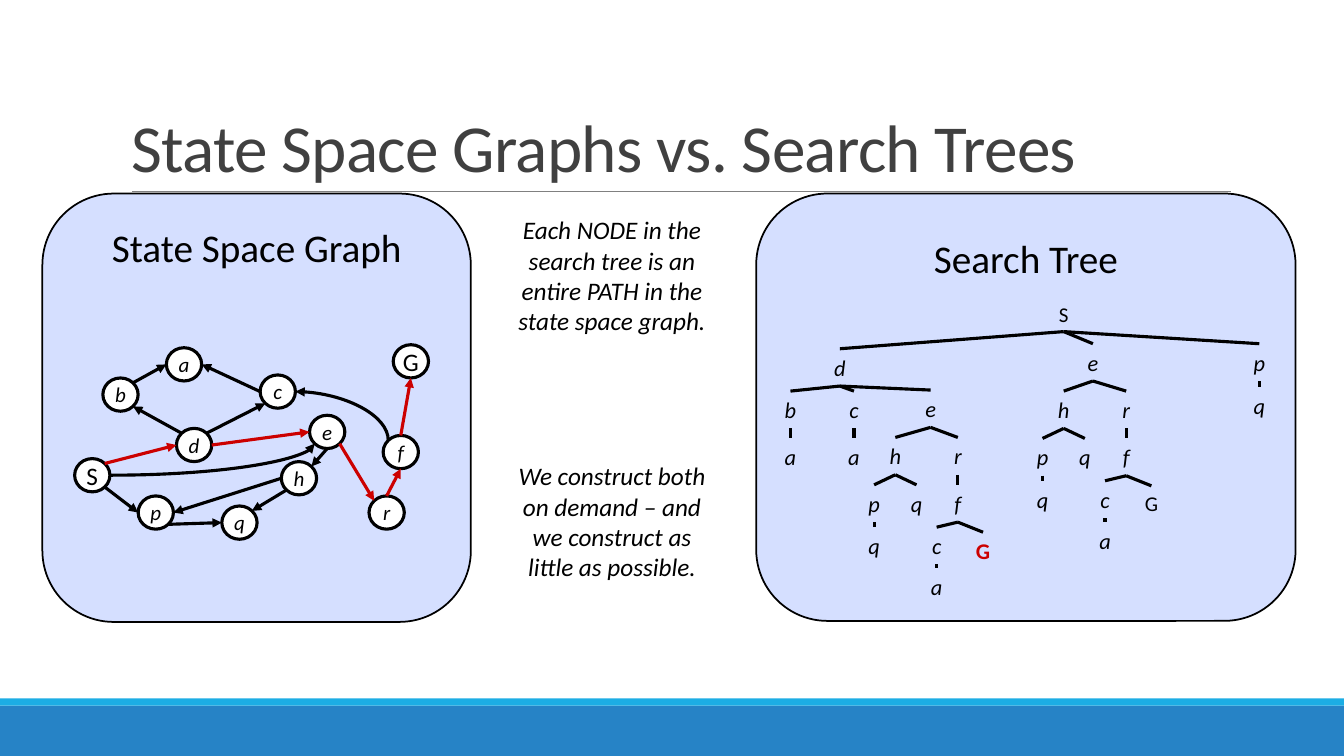
from dataclasses import dataclass
from math import cos, radians, sin

from lxml import etree
from pptx import Presentation
from pptx import util as u
from pptx.dml.color import RGBColor
from pptx.enum import shapes, text
from pptx.oxml.ns import qn


@dataclass(frozen=True)
class Theme:
    font: str = "Calibri"
    black: str = "000000"
    red: str = "CC0000"
    white: str = "FFFFFF"
    grey: str = "404040"
    rule: str = "808080"
    panel: str = "D5DFFF"
    blue: str = "2683C6"
    cyan: str = "1CADE4"
    title: int = 48
    head: int = 28
    note: int = 18
    leaf: int = 16
    node: int = 15


THEME = Theme()
SITES = {"R": 0, "BR": 45, "B": 90, "BL": 135, "L": 180, "TL": 225, "T": 270, "TR": 315}

NODES = {
    "S": (0.32, 2.63), "G": (3.48, 1.5), "d": (1.33, 2.33), "b": (0.6, 1.83),
    "p": (0.95, 3.0), "q": (1.78, 3.1), "c": (2.16, 1.8), "e": (2.65, 2.2),
    "h": (2.37, 2.66), "a": (1.23, 1.53), "f": (3.38, 2.4), "r": (3.24, 3.0),
}
EDGES = [
    ("S", "BR", "p", "L"), ("p", "BR", "q", "L"), ("h", "BL", "q", "TR"),
    ("h", "L", "p", "R"), ("e", "B", "h", "TR"), ("d", "TL", "b", "BR"),
    ("b", "TR", "a", "L"), ("c", "L", "a", "R"), ("d", "TR", "c", "BL"),
]
ROUTE = [
    ("S", "TR", "d", "L"), ("d", "R", "e", "L"), ("e", "BR", "r", "TL"),
    ("r", "T", "f", "B"), ("f", "T", "G", "B"),
]


def branch(dx, dy, shift, goal):
    c = ("c", -0.21, 0.42, [("a", 0, 0.41, [])])
    f = ("f", 0, 0.47, [c, (goal, 0.25, 0.47, [])])
    p = ("p", -0.21, 0.47, [("q", 0, 0.42, [])])
    h = ("h", shift - 0.31, 0.47, [p, ("q", 0.21, 0.47, [])])
    return ("e", dx, dy, [h, ("r", shift + 0.31, 0.47, [f])])


TREE = ("S", 3.05, 1.02, [
    ("d", -2.22, 0.52, [
        ("b", -0.49, 0.42, [("a", 0, 0.47, [])]),
        ("c", 0.14, 0.42, [("a", 0, 0.47, [])]),
        branch(0.9, 0.41, -0.04, "G!"),
    ]),
    branch(0.29, 0.47, 0.02, "G"),
    ("p", 1.94, 0.47, [("q", 0, 0.43, [])]),
])


def rgb(code):
    return RGBColor.from_string(code)


def write(shape, words, size, color=THEME.black, bold=False, italic=False,
          align=text.PP_ALIGN.CENTER, anchor=text.MSO_ANCHOR.TOP, wrap=True):
    frame = shape.text_frame
    frame.word_wrap = wrap
    frame.vertical_anchor = anchor
    para = frame.paragraphs[0]
    para.alignment = align
    run = para.add_run()
    run.text = words
    font = run.font
    font.name, font.size, font.bold, font.italic = THEME.font, u.Pt(size), bold, italic
    font.color.rgb = rgb(color)
    return run


def label(slide, box, words, size, **style):
    shape = slide.shapes.add_textbox(*map(u.Inches, box))
    write(shape, words, size, **style)
    return shape


def block(slide, kind, box, fill, width=0):
    shape = slide.shapes.add_shape(kind, *map(u.Inches, box))
    shape.shadow.inherit = False
    shape.fill.solid()
    shape.fill.fore_color.rgb = rgb(fill)
    if width:
        shape.line.color.rgb = rgb(THEME.black)
        shape.line.width = u.Pt(width)
    else:
        shape.line.fill.background()
    return shape


def link(slide, start, end, color=THEME.black, width=2.25, arrow=None, curve=False):
    line = slide.shapes.add_connector(
        shapes.MSO_CONNECTOR.CURVE if curve else shapes.MSO_CONNECTOR.STRAIGHT,
        *map(u.Inches, (*start, *end)))
    line.line.color.rgb = rgb(color)
    line.line.width = u.Pt(width)
    props = line._element.spPr
    if curve:
        props.find(qn("a:prstGeom")).set("prst", "curvedConnector2")
    if arrow:
        etree.SubElement(props.find(qn("a:ln")), qn(f"a:{arrow}")).set("type", "triangle")
    etree.SubElement(props, qn("a:effectLst"))
    return line


def panel(slide, box, heading, drop):
    left, top, width, height = box
    block(slide, shapes.MSO_SHAPE.ROUNDED_RECTANGLE, box, THEME.panel, 1.25)
    label(slide, (left, top + drop, width, 0.57), heading, THEME.head)


def draw_graph(slide, box):
    panel(slide, box, "State Space Graph", 0.25)
    left, top = box[:2]
    wide, high = 0.35, 0.33

    def site(name, side):
        x, y = NODES[name]
        turn = radians(SITES[side])
        return (left + x + wide / 2 * (1 + cos(turn)),
                top + y + high / 2 * (1 + sin(turn)))

    for name, (x, y) in NODES.items():
        disc = block(slide, shapes.MSO_SHAPE.FLOWCHART_CONNECTOR,
                     (left + x, top + y, wide, high), THEME.white, 2.25)
        write(disc, name, THEME.note if name.isupper() else THEME.node,
              italic=name.islower(), anchor=text.MSO_ANCHOR.MIDDLE, wrap=False)
    for edges, color in ((EDGES, THEME.black), (ROUTE, THEME.red)):
        for a, out, b, into in edges:
            link(slide, site(a, out), site(b, into), color, arrow="tailEnd")
    link(slide, site("c", "R"), site("f", "TL"), arrow="headEnd", curve=True)
    link(slide, site("S", "R"), site("e", "BL"), arrow="tailEnd", curve=True)


def grow(slide, node, x, y, above=None):
    name, dx, dy, kids = node
    x, y = x + dx, y + dy
    goal = name == "G!"
    plain = name in ("S", "G")
    wide = 0.35 if name.islower() else 0.7
    leaf = label(slide, (x - wide / 2, y, wide, 0.35 if plain else 0.37), name.strip("!"),
                 THEME.node if plain else THEME.leaf, bold=goal, italic=name.islower(),
                 color=THEME.red if goal else THEME.black)
    if above is not None:
        line = link(slide, (x, y), (x, y))
        line.begin_connect(above, 2)
        line.end_connect(leaf, 0)
    for kid in kids:
        grow(slide, kid, x, y, leaf)


def draw_tree(slide, box):
    panel(slide, box, "Search Tree", 0.36)
    grow(slide, TREE, *box[:2])


def draw_notes(slide, box):
    left, top, width, _ = box
    for drop, words in (
        (0, "Each NODE in the search tree is an entire PATH in the state space graph."),
        (2.44, "We construct both on demand – and we construct as little as possible."),
    ):
        label(slide, (left, top + drop, width, 1.31), words, THEME.note, italic=True)


def draw_frame(slide, box):
    left, top, width, height = box
    base = top + height
    for y, high, fill in ((base - 0.5, 0.5, THEME.blue), (base - 0.57, 0.07, THEME.cyan)):
        block(slide, shapes.MSO_SHAPE.RECTANGLE, (left, y, width, high), fill)
    link(slide, (left + 1.31, top + 1.9), (left + 12.21, top + 1.9), THEME.rule, 0.5)
    title = slide.shapes.title
    title.left, title.top = u.Inches(left + 1.2), u.Inches(top + 0.31)
    title.width, title.height = u.Inches(11), u.Inches(1.59)
    run = write(title, "State Space Graphs vs. Search Trees", THEME.title, THEME.grey,
                align=text.PP_ALIGN.LEFT, anchor=text.MSO_ANCHOR.BOTTOM)
    run.font._element.set("spc", "-50")
    title.text_frame.auto_size = text.MSO_AUTO_SIZE.NONE
    title.text_frame.paragraphs[0].line_spacing = 0.85


def main():
    deck = Presentation()
    deck.slide_width, deck.slide_height = u.Inches(13.33), u.Inches(7.5)
    slide = deck.slides.add_slide(deck.slide_layouts[5])
    draw_frame(slide, (0, 0, 13.33, 7.5))
    draw_tree(slide, (7.5, 1.92, 5.35, 4.24))
    draw_graph(slide, (0.42, 1.92, 4.25, 4.25))
    draw_notes(slide, (4.96, 2.08, 2.22, 3.75))
    deck.save("out.pptx")


if __name__ == "__main__":
    main()
